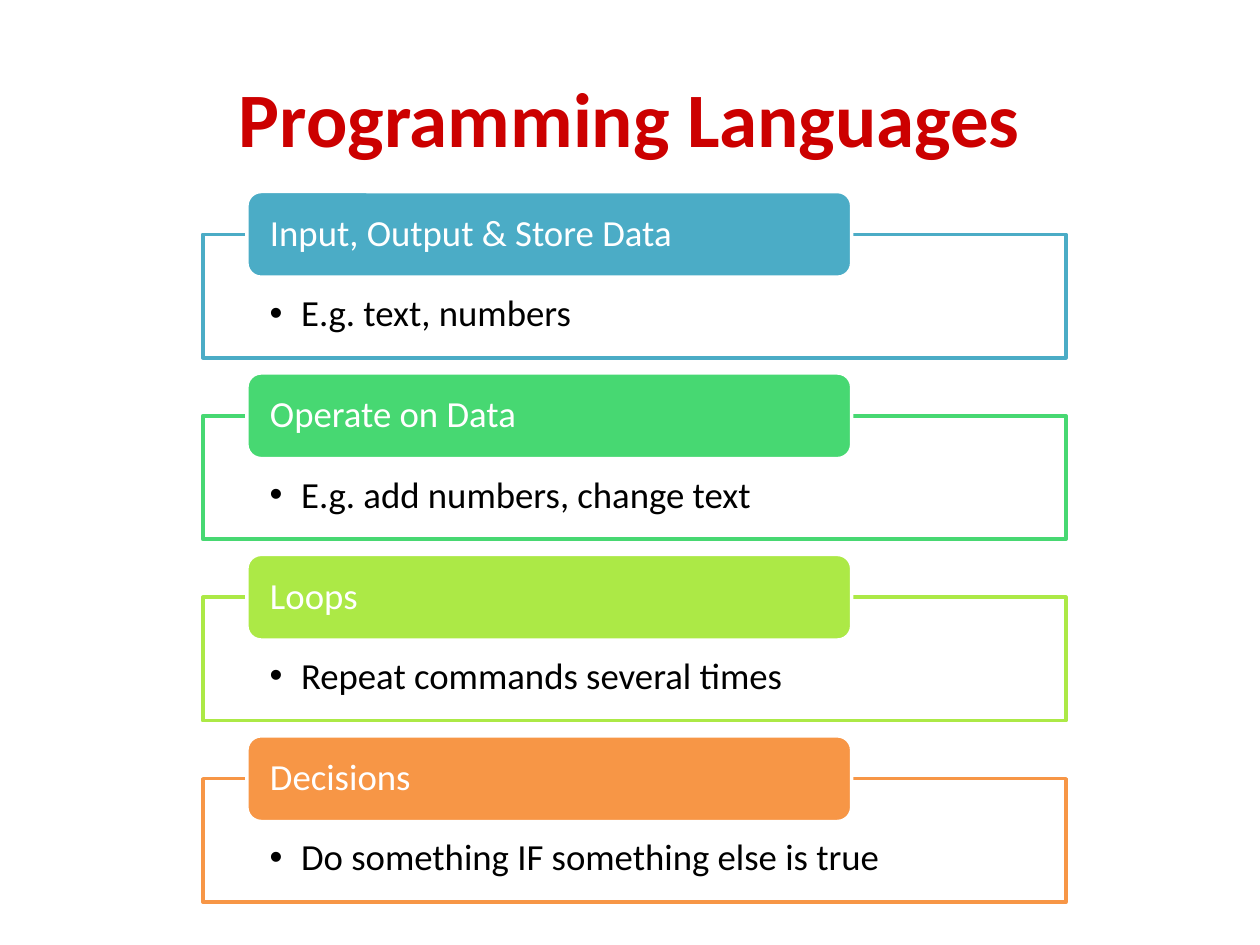
from lxml.etree import SubElement
from pptx import Presentation
from pptx.dml.color import RGBColor
from pptx.enum.shapes import MSO_SHAPE
from pptx.enum.text import MSO_ANCHOR, PP_ALIGN
from pptx.oxml.ns import qn
from pptx.util import Inches, Pt

COLORS = {
    "title": "CC0000",
    "white": "FFFFFF",
    "black": "000000",
    "teal": "4BACC6",
    "green": "47D872",
    "lime": "ACE946",
    "orange": "F79646",
}
FONT = "Calibri"
TOPICS = [
    ("Input, Output & Store Data", "E.g. text, numbers", "teal"),
    ("Operate on Data", "E.g. add numbers, change text", "green"),
    ("Loops", "Repeat commands several times", "lime"),
    ("Decisions", "Do something IF something else is true", "orange"),
]
FIRST_TOP = 1.52
PITCH = 1.44
DETAIL_OFFSET = 0.34


def rgb(name):
    return RGBColor.from_string(COLORS[name])


def set_text(tf, text, size, color, align, anchor, bold=False):
    tf.text = text
    tf.word_wrap = True
    tf.vertical_anchor = anchor
    p = tf.paragraphs[0]
    p.alignment = align
    font = p.runs[0].font
    font.name = FONT
    font.size = Pt(size)
    font.bold = bold
    font.color.rgb = rgb(color)
    return p


def set_margins(tf, side, top, bottom):
    tf.margin_left = tf.margin_right = Inches(side)
    tf.margin_top = Inches(top)
    tf.margin_bottom = Inches(bottom)


def add_box(s, kind, left, top, width, height, fill, line):
    sp = s.shapes.add_shape(kind, Inches(left), Inches(top), Inches(width), Inches(height))
    sp.shadow.inherit = False
    sp.fill.solid()
    sp.fill.fore_color.rgb = rgb(fill)
    sp.line.color.rgb = rgb(line)
    sp.line.width = Pt(2)
    return sp


def add_bullet(p):
    pPr = p._p.get_or_add_pPr()
    pPr.set("marL", str(Inches(0.25)))
    pPr.set("indent", str(Inches(-0.25)))
    SubElement(pPr, qn("a:buFont"), typeface="Arial")
    SubElement(pPr, qn("a:buChar"), char="•")


def add_detail(s, top, text, color):
    sp = add_box(s, MSO_SHAPE.RECTANGLE, 1.61, top, 6.85, 0.98, "white", color)
    fill_color = sp.fill._xPr.find(qn("a:solidFill"))[0]
    SubElement(fill_color, qn("a:alpha"), val="90000")
    p = set_text(sp.text_frame, text, 21, "black", PP_ALIGN.LEFT, MSO_ANCHOR.TOP)
    set_margins(sp.text_frame, 0.53, 0.48, 0.16)
    p.line_spacing = 0.9
    add_bullet(p)


def add_heading(s, top, text, color):
    sp = add_box(s, MSO_SHAPE.ROUNDED_RECTANGLE, 1.96, top, 4.8, 0.68, color, "white")
    p = set_text(sp.text_frame, text, 21, "white", PP_ALIGN.LEFT, MSO_ANCHOR.MIDDLE)
    set_margins(sp.text_frame, 0.15, 0, 0)
    p.line_spacing = 0.9


def add_title(s, text):
    sp = s.shapes.title
    sp.left, sp.top, sp.width, sp.height = Inches(0.5), Inches(0.3), Inches(9), Inches(1.25)
    set_text(sp.text_frame, text, 44, "title", PP_ALIGN.CENTER, MSO_ANCHOR.MIDDLE, bold=True)


def main():
    prs = Presentation()
    prs.slide_width, prs.slide_height = Inches(10), Inches(7.5)
    s = prs.slides.add_slide(prs.slide_layouts[5])
    add_title(s, "Programming Languages")
    for i, (heading, detail, color) in enumerate(TOPICS):
        top = FIRST_TOP + i * PITCH
        add_detail(s, top + DETAIL_OFFSET, detail, color)
        add_heading(s, top, heading, color)
    prs.save("out.pptx")


if __name__ == "__main__":
    main()
